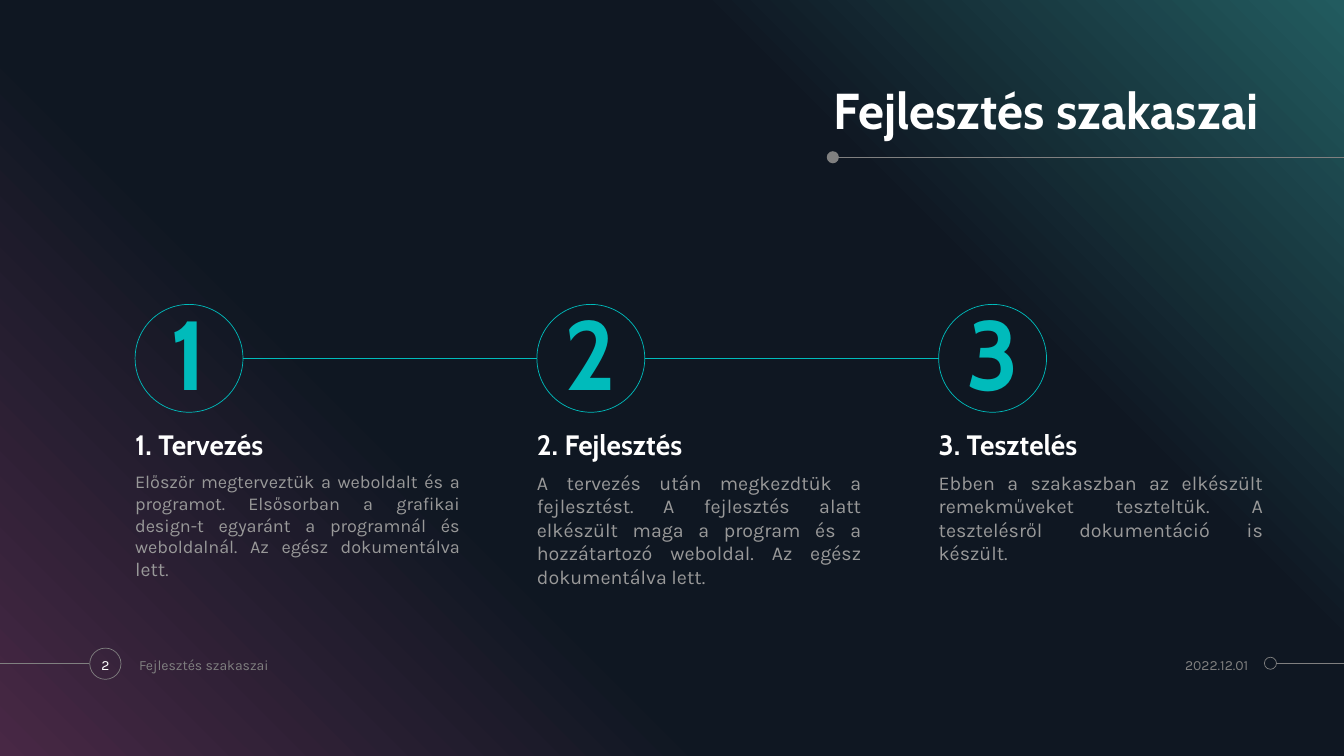
"""Builds the slide on the three stages of development."""
from copy import deepcopy

from lxml.etree import SubElement
from pptx import Presentation
from pptx.dml.color import RGBColor
from pptx.enum.shapes import MSO_CONNECTOR, MSO_SHAPE
from pptx.enum.text import MSO_ANCHOR, PP_ALIGN
from pptx.oxml.ns import qn
from pptx.util import Inches, Pt

W, H = 13.33, 7.5
HEAD_FONT, BODY_FONT = "Cabin", "Karla"
WHITE, TEAL, GREY, LIGHT = "FFFFFF", "00BBBB", "808080", "999999"
GRADIENT = [(0, "482845"), (34, "0F1722"), (69, "0F1722"), (100, "225B5F")]
TITLE = "Fejlesztés szakaszai"
DATE = "2022.12.01"
PAGE = "2"
STAGES = [
    ("1", "1. Tervezés", [
        ("Először megterveztük a weboldalt és a programot. Elsősorban a grafikai "
         "design-t egyaránt a programnál és weboldalnál. Az egész dokumentálva ", 12.9),
        ("lett", 13.9), (".", 12.9)]),
    ("2", "2. Fejlesztés", [
        ("A tervezés után megkezdtük a fejlesztést. A fejlesztés alatt elkészült maga "
         "a program és a hozzátartozó weboldal. Az egész dokumentálva lett.", 14)]),
    ("3", "3. Tesztelés", [
        ("Ebben a szakaszban az elkészült remekműveket teszteltük. A tesztelésről "
         "dokumentáció is készült.", 14)]),
]
LEFT, PITCH, COL_W = 1.34, 3.985, 3.22
RING, RING_TOP = 1.07, 3.02
HEAD_TOP, BODY_TOP = 4.22, 4.67
RULE_X, RULE_Y = 8.25, 1.56
FOOT_Y, FOOT_TOP, FOOT_H = 6.58, 6.43, 0.33


def rgb(color):
    return RGBColor.from_string(color)


def paint_background(s):
    fill = s.background.fill
    fill.gradient()
    fill.gradient_angle = 45
    stops = fill.gradient_stops
    first = stops[0]
    first.color.rgb = rgb(GRADIENT[0][1])
    gs_list = s.background._cSld.find(".//" + qn("a:gsLst"))
    model = gs_list[0]
    for gs in list(gs_list):
        gs_list.remove(gs)
    for share, color in GRADIENT:
        gs = deepcopy(model)
        gs.set("pos", str(share * 1000))
        gs.find(qn("a:srgbClr")).set("val", color)
        gs_list.append(gs)


def add_line(s, x1, y1, x2, y2, color):
    line = s.shapes.add_connector(MSO_CONNECTOR.STRAIGHT, *map(Inches, (x1, y1, x2, y2)))
    line.line.color.rgb = rgb(color)
    line.line.width = Pt(0.5)
    SubElement(line._element.spPr, qn("a:effectLst"))


def add_circle(s, x, y, size, color, solid=False):
    sp = s.shapes.add_shape(MSO_SHAPE.OVAL, *map(Inches, (x, y, size, size)))
    sp.shadow.inherit = False
    if solid:
        sp.fill.solid()
        sp.fill.fore_color.rgb = rgb(color)
        sp.line.fill.background()
    else:
        sp.fill.background()
        sp.line.color.rgb = rgb(color)
        sp.line.width = Pt(0.5)
    return sp


def write(sp, runs, font, color, bold=False, align=PP_ALIGN.LEFT,
          anchor=MSO_ANCHOR.MIDDLE, spacing=1.0):
    tf = sp.text_frame
    tf.word_wrap = True
    tf.vertical_anchor = anchor
    tf.margin_left = tf.margin_right = tf.margin_top = tf.margin_bottom = 0
    p = tf.paragraphs[0]
    p.alignment = align
    p.line_spacing = spacing
    for text, size in runs:
        r = p.add_run()
        r.text = text
        r.font.name = font
        r.font.size = Pt(size)
        r.font.bold = bold
        r.font.color.rgb = rgb(color)


def add_box(s, x, y, w, h, *args, **kwargs):
    write(s.shapes.add_textbox(*map(Inches, (x, y, w, h))), *args, **kwargs)


def add_title(s):
    title = s.shapes.title
    title.left, title.top, title.width, title.height = map(Inches, (5.58, 0.77, 6.9, 0.62))
    write(title, [(TITLE, 36)], HEAD_FONT, WHITE, True, PP_ALIGN.RIGHT,
          MSO_ANCHOR.BOTTOM, 0.9)
    add_line(s, W, RULE_Y, RULE_X, RULE_Y, GREY)
    add_circle(s, RULE_X - 0.05, RULE_Y - 0.06, 0.12, GREY, solid=True)


def add_stages(s):
    for i, (number, heading, body) in enumerate(STAGES):
        x = LEFT + i * PITCH
        if i:
            mid = RING_TOP + RING / 2
            add_line(s, x - PITCH + RING, mid, x, mid, TEAL)
        ring = add_circle(s, x, RING_TOP, RING, TEAL)
        write(ring, [(number, 70)], HEAD_FONT, TEAL, True, PP_ALIGN.CENTER, spacing=0.9)
        add_box(s, x, HEAD_TOP, COL_W, 0.36, [(heading, 20)], HEAD_FONT, WHITE, True,
                anchor=MSO_ANCHOR.BOTTOM, spacing=0.9)
        add_box(s, x, BODY_TOP, COL_W, 1, body, BODY_FONT, LIGHT,
                align=PP_ALIGN.JUSTIFY, anchor=MSO_ANCHOR.TOP)


def add_footer(s):
    add_line(s, 0, FOOT_Y, 0.88, FOOT_Y, GREY)
    add_circle(s, 0.89, FOOT_TOP, 0.31, GREY)
    add_line(s, 12.66, FOOT_Y, W, FOOT_Y, GREY)
    add_circle(s, 12.54, FOOT_Y - 0.06, 0.12, GREY)
    for x, w, text, color, align in [
            (0.85, 0.39, PAGE, WHITE, PP_ALIGN.CENTER),
            (1.38, 3, TITLE, GREY, PP_ALIGN.LEFT),
            (10.95, 1.43, DATE, GREY, PP_ALIGN.RIGHT)]:
        add_box(s, x, FOOT_TOP, w, FOOT_H, [(text, 10)], BODY_FONT, color, align=align)


def main():
    prs = Presentation()
    prs.slide_width, prs.slide_height = Inches(W), Inches(H)
    s = prs.slides.add_slide(prs.slide_layouts[5])
    paint_background(s)
    add_title(s)
    add_stages(s)
    add_footer(s)
    prs.save("out.pptx")


if __name__ == "__main__":
    main()
